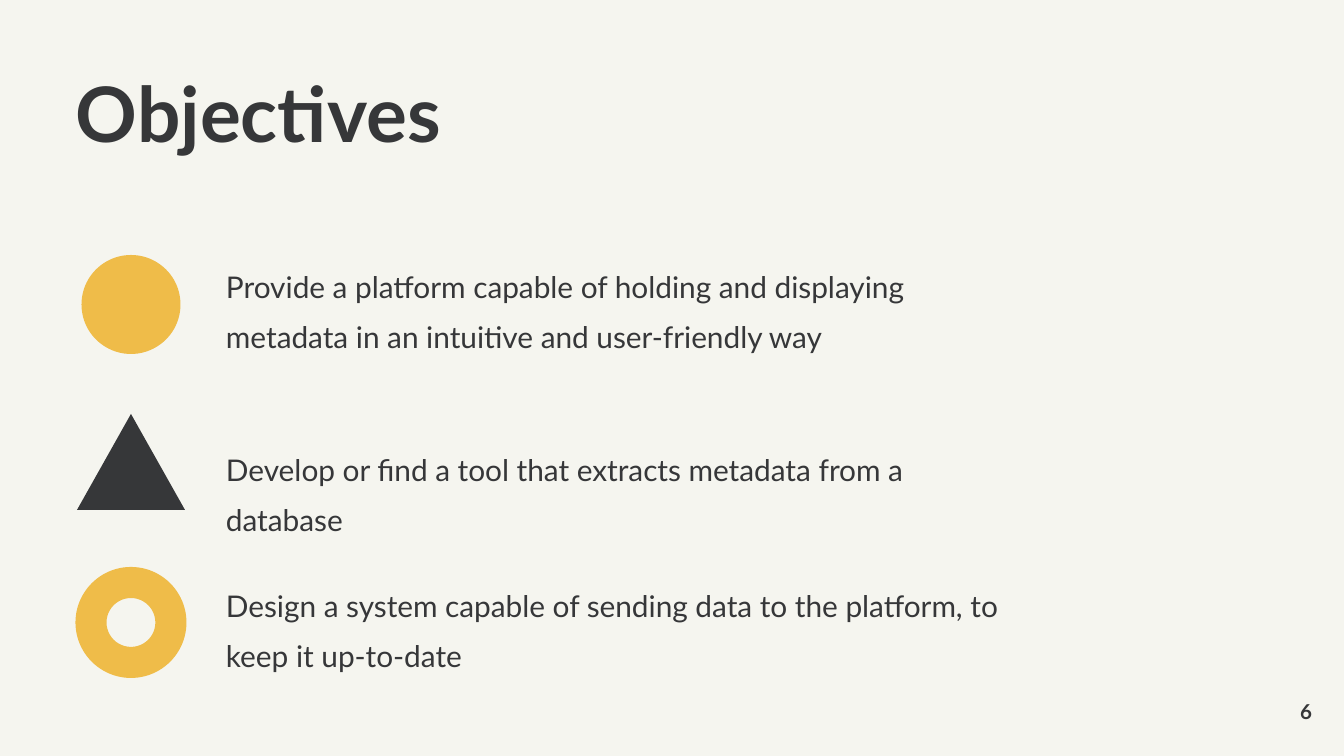
from pptx import Presentation
from pptx.dml.color import RGBColor as RGB
from pptx.enum.shapes import MSO_SHAPE as SHAPE
from pptx.enum.text import MSO_ANCHOR as ANCHOR, PP_ALIGN as ALIGN
from pptx.util import Pt

PX = 914400 / 134.4  # EMU per px

THEME = {
    "paper": RGB.from_string("F5F5EF"),
    "ink": RGB.from_string("363739"),
    "accent": RGB.from_string("EFBC49"),
    "font": "Lato",
    "title": 41,
    "body": 16,
    "number": 11,
}


def box(*lengths):
    return [round(n * PX) for n in lengths]


def add_text(text, place, size, bold=False, anchor=ANCHOR.TOP, **para):
    tf = s.shapes.add_textbox(*box(*place)).text_frame
    frame = {"word_wrap": True, "vertical_anchor": anchor, "margin_left": 0,
             "margin_top": 0, "margin_right": 0, "margin_bottom": 0}
    for name, value in frame.items():
        setattr(tf, name, value)
    p = tf.paragraphs[0]
    for name, value in para.items():
        setattr(p, name, value)
    r = p.add_run()
    r.text = text
    font = {"name": THEME["font"], "size": Pt(THEME[size]), "bold": bold}
    for name, value in font.items():
        setattr(r.font, name, value)
    r.font.color.rgb = THEME["ink"]


# Slide and background
prs = Presentation()
prs.slide_width, prs.slide_height = box(1344, 756)
s = prs.slides.add_slide(prs.slide_layouts[6])
s.background.fill.solid()
s.background.fill.fore_color.rgb = THEME["paper"]

# Title
add_text("Objectives", (76, 76, 953, 106), "title", bold=True, line_spacing=0.9)

# Objectives: icon centred on one axis, text beside it
ICON_AXIS, TEXT_LEFT = 131, 226
objectives = [
    # icon, colour, icon top, width, height, text top, width, height, text
    (SHAPE.OVAL, "accent", 255, 99, 99, 254, 784, 101,
     "Provide a platform capable of holding and displaying metadata in an "
     "intuitive and user-friendly way"),
    (SHAPE.ISOSCELES_TRIANGLE, "ink", 414, 108, 96, 437, 802, 51,
     "Develop or find a tool that extracts metadata from a database"),
    (SHAPE.DONUT, "accent", 567, 111, 111, 573, 802, 101,
     "Design a system capable of sending data to the platform, to keep it "
     "up-to-date"),
]
for kind, colour, top, w, h, text_top, text_w, text_h, text in objectives:
    sp = s.shapes.add_shape(kind, *box(ICON_AXIS - w / 2, top, w, h))
    sp.shadow.inherit = False
    sp.fill.solid()
    sp.fill.fore_color.rgb = THEME[colour]
    sp.line.fill.background()
    if kind == SHAPE.DONUT:
        sp.adjustments[0] = 0.28
    add_text(text, (TEXT_LEFT, text_top, text_w, text_h), "body", line_spacing=1.4)

# Slide number
add_text("6", (1231, 698, 81, 27), "number", bold=True, anchor=ANCHOR.MIDDLE,
         alignment=ALIGN.RIGHT)

prs.save("out.pptx")
